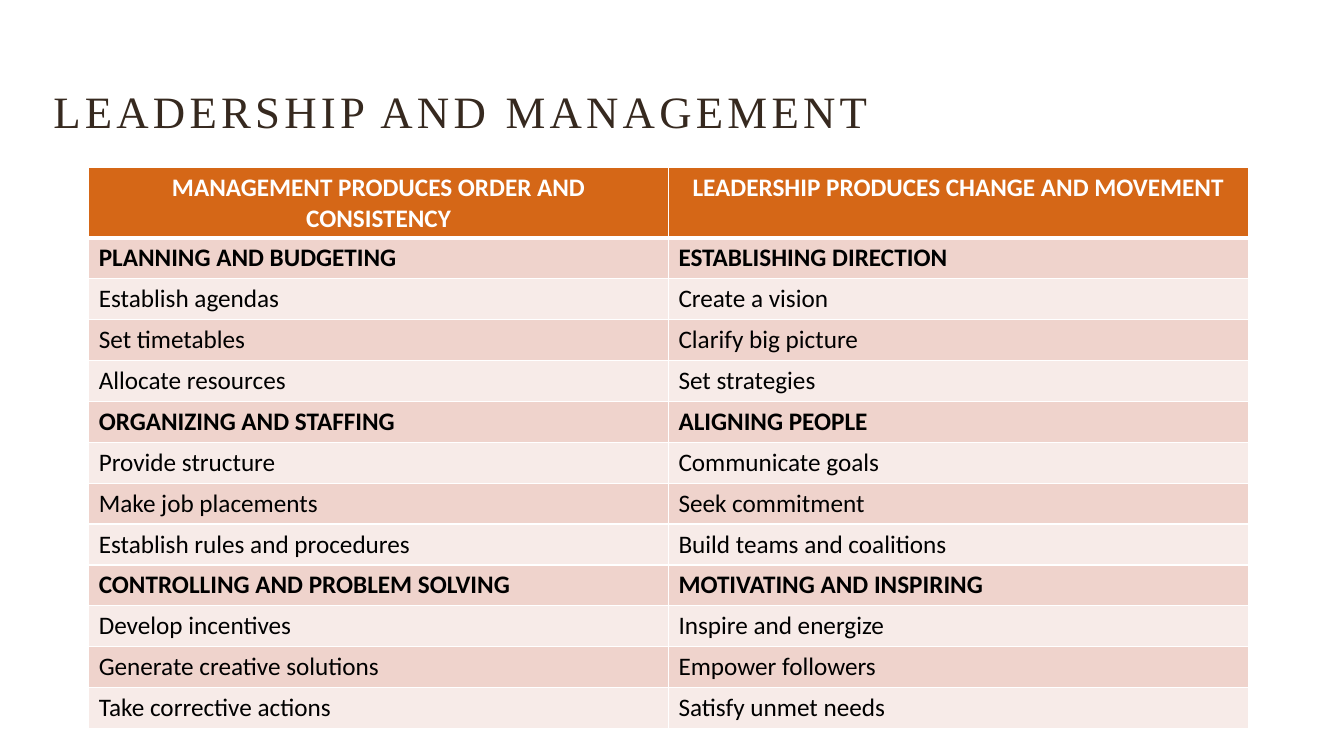
from dataclasses import dataclass

from lxml import etree
from pptx import Presentation
from pptx.dml.color import RGBColor
from pptx.enum.text import MSO_ANCHOR, PP_ALIGN
from pptx.oxml.ns import qn
from pptx.slide import Slide
from pptx.table import _Cell
from pptx.text.text import Font
from pptx.util import Emu, Inches, Pt

BOTTOM = MSO_ANCHOR.BOTTOM
LEFT, CENTER = PP_ALIGN.LEFT, PP_ALIGN.CENTER

WIDTH, HEIGHT = Inches(13.33), Inches(7.5)
COL, ROW = WIDTH / 160, HEIGHT / 100

WHITE, BLACK, BROWN = "FFFFFF", "000000", "36291F"
ORANGE, BANDS = "D56717", ("EFD3CC", "F7EBE8")
HEAD_ROWS, BODY_ROWS = 9.33, 5.41


@dataclass(frozen=True)
class Area:
    """A place on the slide, in grid columns and rows."""
    left: float
    top: float
    width: float
    height: float

    def box(self) -> tuple[Emu, Emu, Emu, Emu]:
        return cols(self.left), rows(self.top), cols(self.width), rows(self.height)


@dataclass(frozen=True)
class Theme:
    """A bold line of the table with the plain lines below it."""
    heads: tuple[str, str]
    points: tuple[tuple[str, str], ...]


@dataclass(frozen=True)
class Look:
    fill: str
    color: str
    bold: bool
    align: PP_ALIGN = LEFT
    under: float = 1


TITLE = Area(5.16, 5.2, 124.6, 13.73)
HEADER = ("MANAGEMENT PRODUCES ORDER AND CONSISTENCY",
          "LEADERSHIP PRODUCES CHANGE AND MOVEMENT")
THEMES = (
    Theme(("PLANNING AND BUDGETING", "ESTABLISHING DIRECTION"),
          (("Establish agendas", "Create a vision"),
           ("Set timetables", "Clarify big picture"),
           ("Allocate resources", "Set strategies"))),
    Theme(("ORGANIZING AND STAFFING", "ALIGNING PEOPLE"),
          (("Provide structure", "Communicate goals"),
           ("Make job placements", "Seek commitment"),
           ("Establish rules and procedures", "Build teams and coalitions"))),
    Theme(("CONTROLLING AND PROBLEM SOLVING", "MOTIVATING AND INSPIRING"),
          (("Develop incentives", "Inspire and energize"),
           ("Generate creative solutions", "Empower followers"),
           ("Take corrective actions", "Satisfy unmet needs"))),
)


def cols(count: float) -> Emu:
    return Emu(round(count * COL))


def rows(count: float) -> Emu:
    return Emu(round(count * ROW))


def paint(color: str) -> RGBColor:
    return RGBColor.from_string(color)


def style(font: Font, name: str, size: float, color: str, bold: bool) -> None:
    font.name, font.size, font.bold = name, Pt(size), bold
    font.color.rgb = paint(color)


def edge(cell: _Cell, under: float) -> None:
    """Draw white cell borders, with the given width at the bottom."""
    props = cell._tc.get_or_add_tcPr()
    for place, (side, width) in enumerate(
            (("L", 1), ("R", 1), ("T", 1), ("B", under))):
        line = etree.Element(qn(f"a:ln{side}"), w=str(Pt(width)))
        fill = etree.SubElement(line, qn("a:solidFill"))
        etree.SubElement(fill, qn("a:srgbClr"), val=WHITE)
        props.insert(place, line)


def write(cell: _Cell, text: str, look: Look) -> None:
    cell.text = text
    cell.fill.solid()
    cell.fill.fore_color.rgb = paint(look.fill)
    edge(cell, look.under)
    para = cell.text_frame.paragraphs[0]
    para.alignment = look.align
    style(para.font, "Calibri", 18, look.color, look.bold)


def add_title(slide: Slide) -> None:
    frame = slide.shapes.add_textbox(*TITLE.box()).text_frame
    frame.word_wrap = True
    frame.vertical_anchor = BOTTOM
    para = frame.paragraphs[0]
    para.line_spacing = 0.9
    run = para.add_run()
    run.text = "LEADERSHIP AND MANAGEMENT"
    style(para.font, "Times New Roman", 32, BROWN, False)
    run.font._element.set("spc", "300")


def add_grid(slide: Slide) -> None:
    lines = [(HEADER, Look(ORANGE, WHITE, True, CENTER, 3))]
    for theme in THEMES:
        for pair in (theme.heads, *theme.points):
            band = BANDS[(len(lines) - 1) % 2]
            lines.append((pair, Look(band, BLACK, pair is theme.heads)))
    area = Area(10.56, 22.13, 138.03, HEAD_ROWS + BODY_ROWS * (len(lines) - 1))
    table = slide.shapes.add_table(len(lines), len(HEADER), *area.box()).table
    for index, (pair, look) in enumerate(lines):
        table.rows[index].height = rows(BODY_ROWS if index else HEAD_ROWS)
        for side, text in enumerate(pair):
            write(table.cell(index, side), text, look)


def main() -> None:
    deck = Presentation()
    deck.slide_width, deck.slide_height = WIDTH, HEIGHT
    slide = deck.slides.add_slide(deck.slide_layouts[6])
    add_title(slide)
    add_grid(slide)
    deck.save("out.pptx")


if __name__ == "__main__":
    main()
